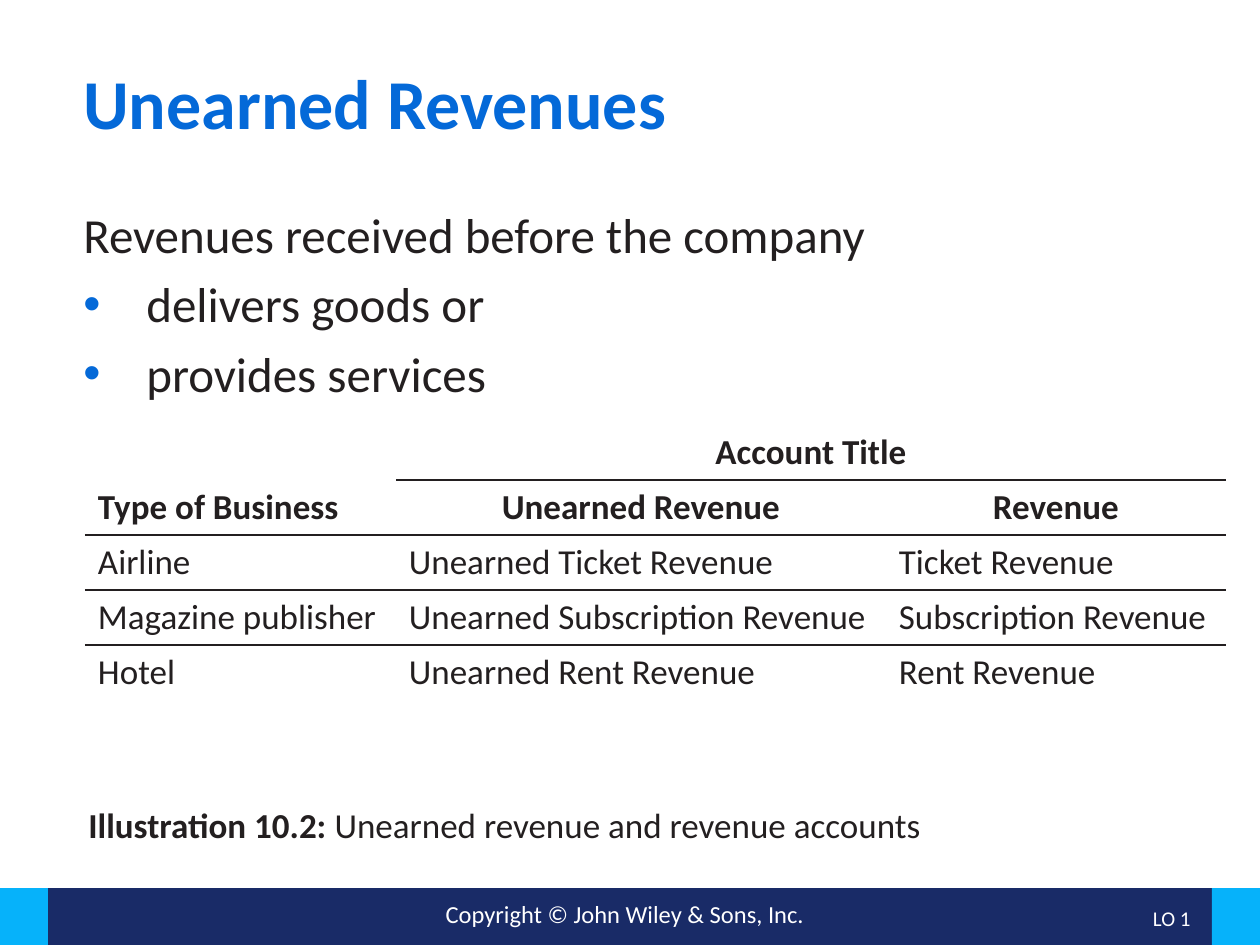
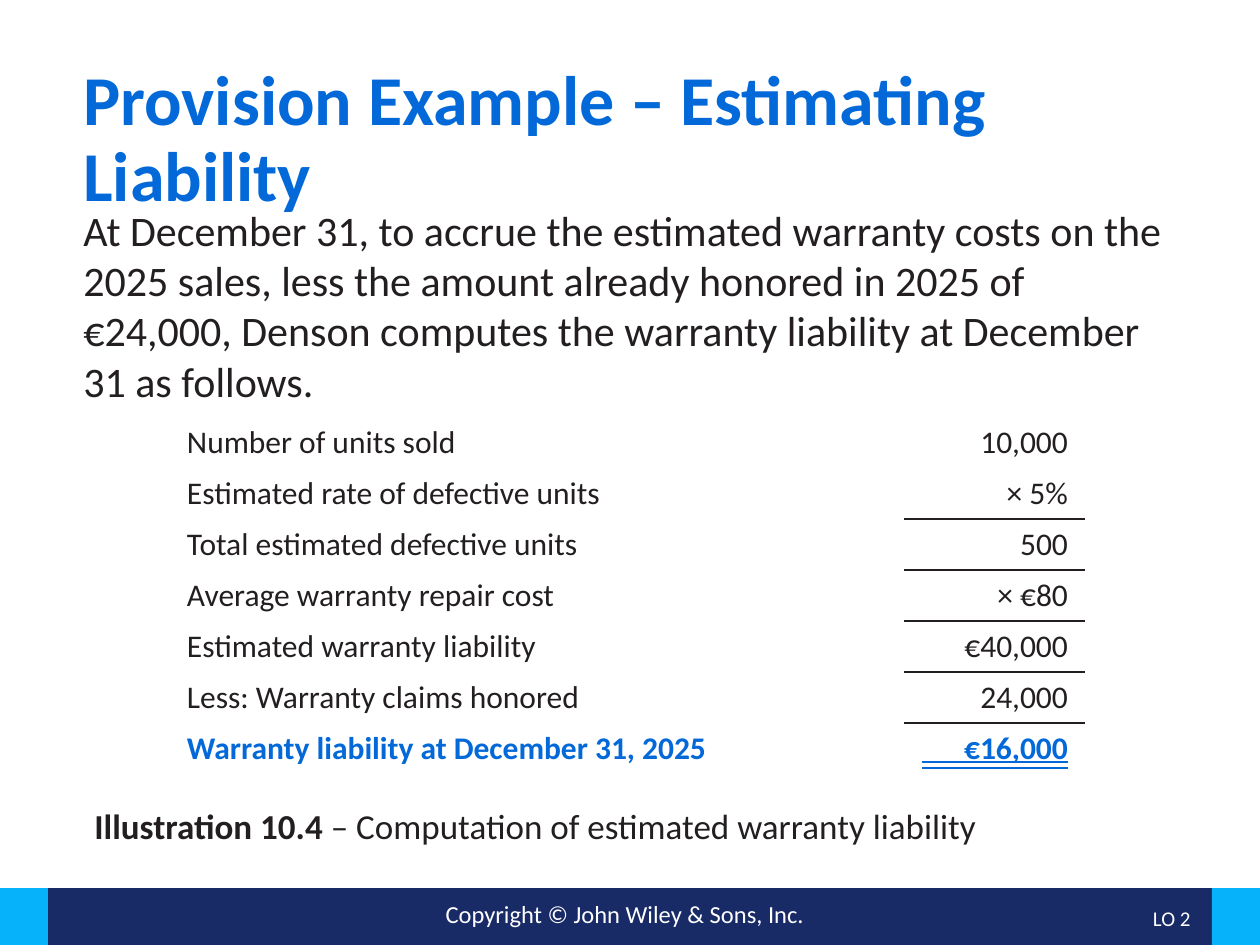
from lxml import etree
from pptx import Presentation
from pptx.dml.color import RGBColor
from pptx.enum.shapes import MSO_CONNECTOR, MSO_SHAPE
from pptx.enum.text import MSO_ANCHOR, PP_ALIGN
from pptx.oxml.ns import qn
from pptx.util import Pt

PX = 914400 / 126
SLIDE_W, SLIDE_H = 1260, 945

WHITE = RGBColor(0xFF, 0xFF, 0xFF)
INK = RGBColor(0x23, 0x1F, 0x20)
BLUE = RGBColor(0x04, 0x69, 0xD8)
NAVY = RGBColor(0x19, 0x2B, 0x67)
SKY = RGBColor(0x06, 0xB2, 0xFA)

FONT = "Calibri"
NO_GRID_STYLE = "{2D5ABB26-0587-4C30-8999-92F81FD0307C}"
LEFT, CENTER, RIGHT = PP_ALIGN.LEFT, PP_ALIGN.CENTER, PP_ALIGN.RIGHT
TOP, MIDDLE = MSO_ANCHOR.TOP, MSO_ANCHOR.MIDDLE
RECTANGLE, STRAIGHT = MSO_SHAPE.RECTANGLE, MSO_CONNECTOR.STRAIGHT

FOOTER_BOX = (0, 888, SLIDE_W, 57)
BODY_BOX = (71, 198, 1119, 216)


def emu(*lengths):
    return [round(length * PX) for length in lengths]


def add_run(paragraph, text, size, color=INK, bold=False):
    run = paragraph.add_run()
    run.text = text
    for name, value in {"name": FONT, "size": Pt(size), "bold": bold}.items():
        setattr(run.font, name, value)
    run.font.color.rgb = color


def add_text(slide, box, paragraphs, size, color=INK, anchor=TOP, **layout):
    """Each paragraph is a list of (text, bold) runs; layout holds paragraph formats."""
    frame = slide.shapes.add_textbox(*emu(*box)).text_frame
    frame.word_wrap = True
    frame.vertical_anchor = anchor
    for index, runs in enumerate(paragraphs):
        paragraph = frame.add_paragraph() if index else frame.paragraphs[0]
        for name, value in layout.items():
            setattr(paragraph, name, value)
        if index:
            paragraph.space_before = Pt(6.2)
        for text, bold in runs:
            add_run(paragraph, text, size, color, bold)
    return frame


def add_bullet(paragraph, indent):
    properties = paragraph._p.get_or_add_pPr()
    properties.set("marL", str(indent))
    properties.set("indent", str(-indent))
    color = etree.SubElement(properties, qn("a:buClr"))
    etree.SubElement(color, qn("a:srgbClr"), val=str(BLUE))
    etree.SubElement(properties, qn("a:buFont"), typeface="Arial")
    etree.SubElement(properties, qn("a:buChar"), char="•")


def add_border(cell, side):
    line = etree.SubElement(cell._tc.get_or_add_tcPr(), qn("a:" + side), w=str(Pt(1)))
    fill = etree.SubElement(line, qn("a:solidFill"))
    etree.SubElement(fill, qn("a:srgbClr"), val=str(INK))


def add_grid(slide, origin, widths, row_height, rows, size, align, style,
             ruled_rows, ruled_columns, inset=13):
    """align(row, column) gives the alignment, style(row) the run formats."""
    box = (*origin, sum(widths), row_height * len(rows))
    table = slide.shapes.add_table(len(rows), len(widths), *emu(*box)).table
    table.first_row = table.horz_banding = False
    table._tbl.tblPr.find(qn("a:tableStyleId")).text = NO_GRID_STYLE
    for column, width in zip(table.columns, emu(*widths)):
        column.width = width
    for r, texts in enumerate(rows):
        table.rows[r].height, = emu(row_height)
        for c, text in enumerate(texts):
            cell = table.cell(r, c)
            cell.vertical_anchor = MIDDLE
            cell.margin_left, cell.margin_right = emu(inset, inset)
            paragraph = cell.text_frame.paragraphs[0]
            paragraph.alignment = align(r, c)
            add_run(paragraph, text, size, **style(r))
            if c in ruled_columns:
                if r - 1 in ruled_rows:
                    add_border(cell, "lnT")
                if r in ruled_rows:
                    add_border(cell, "lnB")
            cell.fill.background()


def add_double_rule(slide, left, right, top, gap):
    for y in (top, top + gap):
        rule = slide.shapes.add_connector(STRAIGHT, *emu(left, y, right, y))
        rule.line.color.rgb = BLUE
        rule.line.width = Pt(1)
        etree.SubElement(rule._element.spPr, qn("a:effectLst"))


def add_footer(slide, box, objective):
    left, top, width, height = box
    end = 48
    for x, part_width, color in ((left + end, width - 2 * end, NAVY),
                                 (left, end, SKY),
                                 (left + width - end, end, SKY)):
        band = slide.shapes.add_shape(RECTANGLE, *emu(x, top, part_width, height))
        band.shadow.inherit = False
        band.fill.solid()
        band.fill.fore_color.rgb = color
        band.line.fill.background()
    add_text(slide, (left + 315, top + 5, 620, 43),
             [[("Copyright © John Wiley & Sons, Inc.", False)]], 14, WHITE,
             alignment=CENTER)
    add_text(slide, (left + width - 160, top + 7, 103, 50), [[(objective, False)]],
             12, WHITE, MIDDLE, alignment=RIGHT, line_spacing=0.9)


def start_slide(deck, title, title_box, objective):
    slide = deck.slides.add_slide(deck.slide_layouts[6])
    add_footer(slide, FOOTER_BOX, objective)
    add_text(slide, title_box, [[(title, True)]], 40, BLUE, line_spacing=0.9)
    return slide


def add_account_titles(slide, left, top):
    widths, row_height = (311, 490, 340), 55

    def style(row):
        return {"bold": row == 0}

    add_grid(slide, (left + widths[0], top), (sum(widths[1:]),), row_height,
             [["Account Title"]], 20, lambda r, c: CENTER, style, {0}, {0})
    businesses = [
        ("Type of Business", "Unearned Revenue", "Revenue"),
        ("Airline", "Unearned Ticket Revenue", "Ticket Revenue"),
        ("Magazine publisher", "Unearned Subscription Revenue", "Subscription Revenue"),
        ("Hotel", "Unearned Rent Revenue", "Rent Revenue"),
    ]
    add_grid(slide, (left, top + row_height), widths, row_height, businesses, 20,
             lambda r, c: CENTER if r == 0 and c else LEFT, style, {0, 1}, {0, 1, 2})


def add_warranty_computation(slide, left, top):
    steps = [
        ("Number of units sold", "10,000"),
        ("Estimated rate of defective units", "× 5%"),
        ("Total estimated defective units", "500"),
        ("Average warranty repair cost", "× €80"),
        ("Estimated warranty liability", "€40,000"),
        ("Less: Warranty claims honored", "24,000"),
        ("Warranty liability at December 31, 2025", "€16,000"),
    ]
    widths, row_height, inset = (734, 181), 51, 17
    last = len(steps) - 1
    add_grid(slide, (left, top), widths, row_height, steps, 18,
             lambda r, c: RIGHT if c else LEFT,
             lambda r: {"color": BLUE, "bold": True} if r == last else {},
             range(1, last), {1}, inset)
    amount_right = left + sum(widths) - inset
    add_double_rule(slide, amount_right - 146, amount_right,
                    top + last * row_height + 39, 6)


def build_unearned_revenues(deck):
    slide = start_slide(deck, "Unearned Revenues", (71, 63, 1119, 117), "LO 1")
    points = ["Revenues received before the company", "delivers goods or",
              "provides services"]
    body = add_text(slide, BODY_BOX, [[(point, False)] for point in points], 28)
    for paragraph in body.paragraphs[1:]:
        add_bullet(paragraph, *emu(63))
    add_account_titles(slide, 85, 425)
    add_text(slide, (76, 797, 1108, 70),
             [[("Illustration 10.2: ", True),
               ("Unearned revenue and revenue accounts", False)]], 20)


def build_provision_example(deck):
    slide = start_slide(deck, "Provision Example – Estimating Liability",
                        (71, 59, 1160, 117), "LO 2")
    add_text(slide, BODY_BOX, [[(
        "At December 31, to accrue the estimated warranty costs on the 2025 sales, "
        "less the amount already honored in 2025 of €24,000, Denson computes the "
        "warranty liability at December 31 as follows.", False)]], 24)
    add_warranty_computation(slide, 170, 417)
    add_text(slide, (82, 798, 1108, 50),
             [[("Illustration 10.4 ", True),
               ("– Computation of estimated warranty liability", False)]], 20)


def main():
    deck = Presentation()
    deck.slide_width, deck.slide_height = emu(SLIDE_W, SLIDE_H)
    build_unearned_revenues(deck)
    build_provision_example(deck)
    deck.save("out.pptx")


if __name__ == "__main__":
    main()
